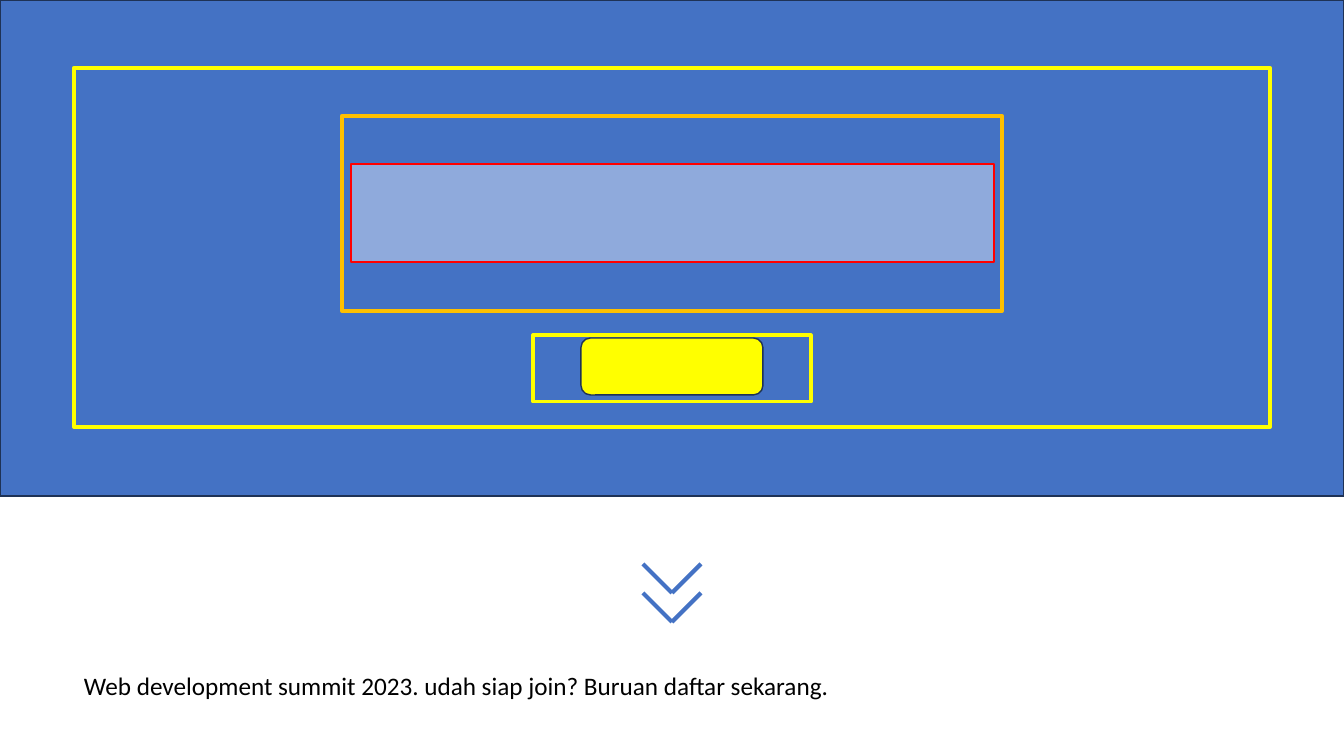
from lxml import etree
from pptx import Presentation
from pptx.dml.color import RGBColor
from pptx.enum.shapes import MSO_CONNECTOR, MSO_SHAPE
from pptx.enum.text import MSO_AUTO_SIZE
from pptx.oxml.ns import qn
from pptx.util import Emu, Pt

RECT = MSO_SHAPE.RECTANGLE
ROUND_RECT = MSO_SHAPE.ROUNDED_RECTANGLE
STRAIGHT = MSO_CONNECTOR.STRAIGHT
FIT_SHAPE = MSO_AUTO_SIZE.SHAPE_TO_FIT_TEXT

BLUE = RGBColor(0x44, 0x72, 0xC4)
NAVY = RGBColor(0x1E, 0x32, 0x56)
PALE_BLUE = RGBColor(0x8F, 0xAA, 0xDC)
YELLOW = RGBColor(0xFF, 0xFF, 0x00)
ORANGE = RGBColor(0xFF, 0xC0, 0x00)
RED = RGBColor(0xFF, 0x00, 0x00)
BLACK = RGBColor(0x00, 0x00, 0x00)

WIDTH, HEIGHT = 1344, 756
EMU_PER_PX = 914400 / 100.8


def px(n):
    return Emu(round(n * EMU_PER_PX))


class Canvas:
    font = "Calibri"
    blank_layout = 6

    def __init__(self, prs):
        self.slide = prs.slides.add_slide(prs.slide_layouts[self.blank_layout])
        self.shapes = self.slide.shapes

    def box(self, x, y, w, h, line, weight, fill=None, kind=RECT):
        sp = self.shapes.add_shape(kind, px(x), px(y), px(w), px(h))
        sp.shadow.inherit = False
        if fill is None:
            sp.fill.background()
        else:
            sp.fill.solid()
            sp.fill.fore_color.rgb = fill
        sp.line.color.rgb = line
        sp.line.width = Pt(weight)

    def line(self, shapes, x1, y1, x2, y2, color, weight):
        cxn = shapes.add_connector(STRAIGHT, px(x1), px(y1), px(x2), px(y2))
        cxn.line.color.rgb = color
        cxn.line.width = Pt(weight)
        etree.SubElement(cxn._element.spPr, qn("a:effectLst"))

    def chevrons(self, center, top, half, count, color, weight):
        group = self.shapes.add_group_shape()
        for i in range(count):
            y = top + i * half
            for side in (-half, half):
                self.line(group.shapes, center + side, y, center, y + half, color, weight)

    def text(self, x, y, w, h, text, size, color):
        tf = self.shapes.add_textbox(px(x), px(y), px(w), px(h)).text_frame
        tf.word_wrap = True
        tf.auto_size = FIT_SHAPE
        tf.text = text
        r = tf.paragraphs[0].runs[0]
        r.font.name = self.font
        r.font.size = Pt(size)
        r.font.color.rgb = color


def main():
    prs = Presentation()
    prs.slide_width, prs.slide_height = px(WIDTH), px(HEIGHT)
    canvas = Canvas(prs)

    # Hero banner with its content frame
    canvas.box(0, 0, WIDTH, 496, NAVY, 1, BLUE)
    canvas.box(74, 68, 1196, 359, YELLOW, 3)

    # Headline area
    canvas.box(342, 116, 660, 195, ORANGE, 3, BLUE)
    canvas.box(351, 164, 643, 98, RED, 1, PALE_BLUE)

    # Button area
    canvas.box(533, 335, 278, 67, YELLOW, 2.25)
    canvas.box(581, 338, 182, 57, NAVY, 1, YELLOW, ROUND_RECT)

    # Scroll-down chevrons
    canvas.chevrons(WIDTH // 2, 564, 29, 2, BLUE, 3)

    # Call to action
    canvas.text(74, 665, 1196, 40,
                "Web development summit 2023. udah siap join? Buruan daftar sekarang.",
                18, BLACK)

    prs.save("out.pptx")


if __name__ == "__main__":
    main()
